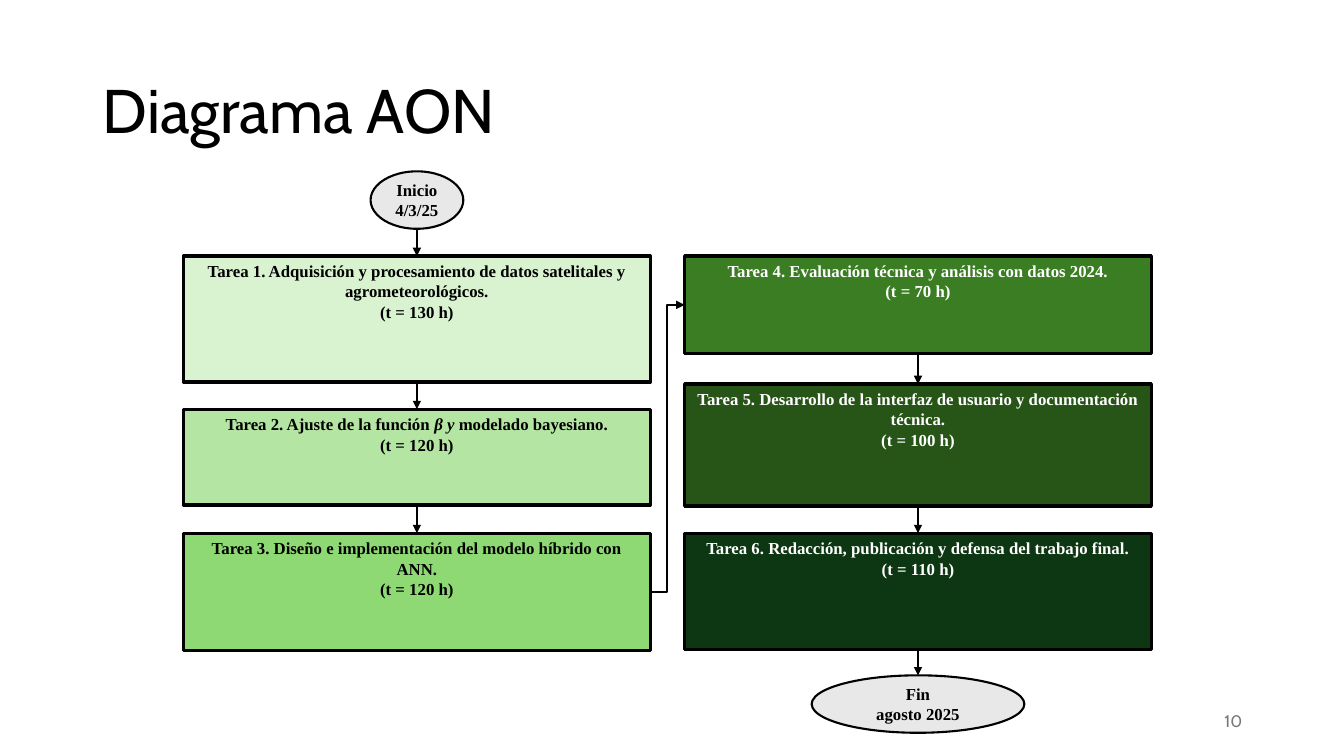
from lxml import etree
from pptx import Presentation, util as u
from pptx.dml.color import RGBColor
from pptx.enum import shapes, text
from pptx.oxml.ns import qn

PX = 9144
COLORS = {
    "black": "000000", "white": "FFFFFF", "number": "797979", "terminal": "E8E8E8",
    "task1": "D9F2D0", "task2": "B4E5A2", "task3": "8ED973",
    "task4": "3B7D23", "task5": "275417", "task6": "0D3612",
}
TASK_WIDTH = 463
LEFT_TASKS = [
    (254, 125, "task1", ["Tarea 1. Adquisición y procesamiento de datos satelitales y agrometeorológicos."], "(t = 130 h)"),
    (406, 95, "task2", ["Tarea 2. Ajuste de la función ", "β y", " modelado bayesiano."], "(t = 120 h)"),
    (529, 116, "task3", ["Tarea 3. Diseño e implementación del modelo híbrido con ANN."], "(t = 120 h)"),
]
RIGHT_TASKS = [
    (254, 97, "task4", ["Tarea 4. Evaluación técnica y análisis con datos 2024."], "(t = 70 h)"),
    (381, 121, "task5", ["Tarea 5. Desarrollo de la interfaz de usuario y documentación técnica."], "(t = 100 h)"),
    (529, 115, "task6", ["Tarea 6. Redacción, publicación y defensa del trabajo final."], "(t = 110 h)"),
]


def color(name):
    """Return the named color as an RGB value."""
    return RGBColor.from_string(COLORS[name])


def scaled(*lengths):
    """Turn px lengths into EMU."""
    return [u.Emu(round(length * PX)) for length in lengths]


def write(shape, paragraphs, anchor, alignment, font_color, **font_format):
    """Write paragraphs of runs, with every second run in italics."""
    frame = shape.text_frame
    frame.word_wrap = True
    frame.vertical_anchor = anchor
    for index, runs in enumerate(paragraphs):
        paragraph = frame.paragraphs[0] if index == 0 else frame.add_paragraph()
        paragraph.alignment = alignment
        for position, words in enumerate(runs):
            run = paragraph.add_run()
            run.text = words
            for name, value in font_format.items():
                setattr(run.font, name, value)
            run.font.italic = position % 2 == 1
            run.font.color.rgb = color(font_color)


def add_label(slide, box, words, size, font_color, alignment):
    """Place a one-line label in the given box."""
    label = slide.shapes.add_textbox(*scaled(*box))
    write(label, [[words]], text.MSO_ANCHOR.MIDDLE, alignment, font_color,
          size=u.Pt(size), name="Cabin")
    return label


def add_node(slide, kind, box, fill, line_width, paragraphs, anchor, font_color):
    """Place an outlined node with centred bold text."""
    node = slide.shapes.add_shape(kind, *scaled(*box))
    node.shadow.inherit = False
    node.fill.solid()
    node.fill.fore_color.rgb = color(fill)
    node.line.color.rgb = color("black")
    node.line.width = u.Pt(line_width)
    write(node, paragraphs, anchor, text.PP_ALIGN.CENTER, font_color,
          size=u.Pt(12), name="Times New Roman", bold=True)
    return node


def add_terminal(slide, box, paragraphs):
    """Place a start or end ellipse."""
    terminal = add_node(slide, shapes.MSO_SHAPE.OVAL, box, "terminal", 1.5, paragraphs,
                        text.MSO_ANCHOR.MIDDLE, "black")
    for side in ("left", "top", "right", "bottom"):
        setattr(terminal.text_frame, f"margin_{side}", 0)
    return terminal


def add_arrow(slide, kind, source, target, source_site=2, target_site=0):
    """Join two nodes with an arrow, from source site to target site."""
    start = source.left + source.width // 2, source.top + source.height
    arrow = slide.shapes.add_connector(kind, *start, target.left, target.top)
    if source.auto_shape_type == shapes.MSO_SHAPE.RECTANGLE:
        arrow.begin_connect(source, source_site)
    arrow.end_connect(target, target_site)
    arrow.line.color.rgb = color("black")
    arrow.line.width = u.Pt(1.5)
    etree.SubElement(arrow.line._get_or_add_ln(), qn("a:tailEnd"), type="triangle")
    etree.SubElement(arrow._element.spPr, qn("a:effectLst"))


def add_task_column(slide, left, tasks, font_color):
    """Place a column of tasks and return its nodes."""
    return [
        add_node(slide, shapes.MSO_SHAPE.RECTANGLE, (left, top, TASK_WIDTH, height), fill,
                 2.25, [title, [duration]], text.MSO_ANCHOR.TOP, font_color)
        for top, height, fill, title, duration in tasks
    ]


def add_diagram(slide, left, right):
    """Place both task columns, the terminals and the arrows."""
    first = add_task_column(slide, left, LEFT_TASKS, "black")
    second = add_task_column(slide, right, RIGHT_TASKS, "white")
    middle = TASK_WIDTH / 2
    start = add_terminal(slide, (left + middle - 46, 170, 92, 57), [["Inicio"], ["4/3/25"]])
    end = add_terminal(slide, (right + middle - 105.5, 670, 211, 57), [["Fin"], ["agosto 2025"]])
    for chain in ([start, *first], [*second, end]):
        for source, target in zip(chain, chain[1:]):
            add_arrow(slide, shapes.MSO_CONNECTOR.STRAIGHT, source, target)
    add_arrow(slide, shapes.MSO_CONNECTOR.ELBOW, first[-1], second[0], 3, 1)


def main():
    """Build and save the slide."""
    presentation = Presentation()
    presentation.slide_width, presentation.slide_height = scaled(1333, 750)
    slide = presentation.slides.add_slide(presentation.slide_layouts[6])
    title = add_label(slide, (92, 40, 1150, 145), "Diagrama AON", 44, "black", text.PP_ALIGN.LEFT)
    title.text_frame.paragraphs[0].line_spacing = 0.9
    add_label(slide, (942, 695, 300, 40), "10", 12, "number", text.PP_ALIGN.RIGHT)
    add_diagram(slide, 182, 679)
    presentation.save("out.pptx")


if __name__ == "__main__":
    main()
